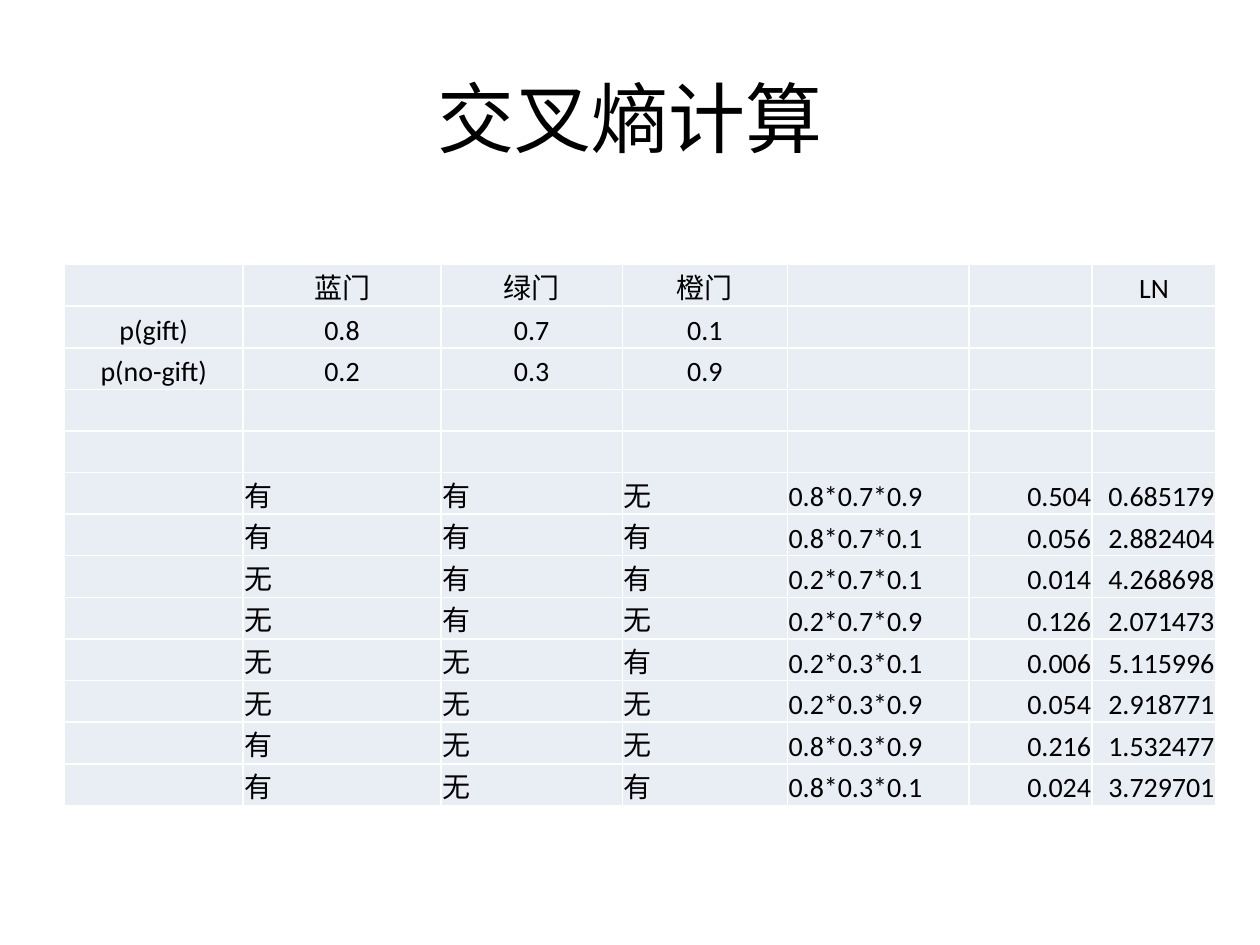
import math

from lxml import etree
from pptx import Presentation, util as u
from pptx.dml.color import RGBColor
from pptx.enum import text
from pptx.oxml.ns import qn

FONT, INK, CELL_FILL, RULE = "Calibri", "000000", "E9EDF4", "FFFFFF"
COLUMNS = [1.42, 1.57, 1.44, 1.31, 1.44, 0.98, 0.98]
ROW_HEIGHT = 0.33
LEFT, CENTER, RIGHT = text.PP_ALIGN.LEFT, text.PP_ALIGN.CENTER, text.PP_ALIGN.RIGHT


def style(para, size, align):
    para.alignment = align
    for span in para.runs:
        span.font.name = FONT
        span.font.size = u.Pt(size)
        span.font.color.rgb = RGBColor.from_string(INK)


def add_borders(cell):
    props = cell._tc.get_or_add_tcPr()
    for place, side in enumerate(("lnL", "lnR", "lnT", "lnB")):
        line = etree.Element(qn(f"a:{side}"), w=str(u.Pt(1)))
        fill = etree.SubElement(line, qn("a:solidFill"))
        etree.SubElement(fill, qn("a:srgbClr"), val=RULE)
        props.insert(place, line)


deck = Presentation()
deck.slide_width, deck.slide_height = u.Inches(10), u.Inches(7.5)
width, height = deck.slide_width, deck.slide_height
page = deck.slides.add_slide(deck.slide_layouts[5])

title = page.shapes.title
title.left, title.top = int(width * 0.05), int(height * 0.04)
title.width, title.height = int(width * 0.9), u.Inches(1.25)
title.text_frame.text = "交叉熵计算"
title.text_frame.vertical_anchor = text.MSO_ANCHOR.MIDDLE
style(title.text_frame.paragraphs[0], 44, CENTER)

# Each door's chance of holding a gift (有) or not (无)
gift = [0.8, 0.7, 0.1]
no_gift = [0.2, 0.3, 0.9]
rows = [
    ["", "蓝门", "绿门", "橙门", "", "", "LN"],
    ["p(gift)", *map(str, gift), "", "", ""],
    ["p(no-gift)", *map(str, no_gift), "", "", ""],
    [""] * 7,
    [""] * 7,
]
header_rows = len(rows)
for outcome in ["有有无", "有有有", "无有有", "无有无", "无无有", "无无无", "有无无", "有无有"]:
    chances = [yes if mark == "有" else no for mark, yes, no in zip(outcome, gift, no_gift)]
    product = math.prod(chances)
    rows.append(["", *outcome, "*".join(map(str, chances)),
                 f"{product:.3f}", f"{-math.log(product):.6f}"])

frame = page.shapes.add_table(len(rows), len(COLUMNS), u.Inches(0.51), int(height * 0.28),
                              u.Inches(sum(COLUMNS)), u.Inches(ROW_HEIGHT * len(rows)))
table = frame.table
for column, size in zip(table.columns, COLUMNS):
    column.width = u.Inches(size)
for r, values in enumerate(rows):
    table.rows[r].height = u.Inches(ROW_HEIGHT)
    for c, value in enumerate(values):
        cell = table.cell(r, c)
        cell.fill.solid()
        cell.fill.fore_color.rgb = RGBColor.from_string(CELL_FILL)
        add_borders(cell)
        cell.margin_left = cell.margin_right = cell.margin_top = u.Inches(0.01)
        cell.margin_bottom = 0
        cell.vertical_anchor = text.MSO_ANCHOR.BOTTOM
        if value:
            cell.text_frame.text = value
            align = CENTER if r < header_rows else RIGHT if c > 4 else LEFT
            style(cell.text_frame.paragraphs[0], 16, align)

deck.save("out.pptx")
